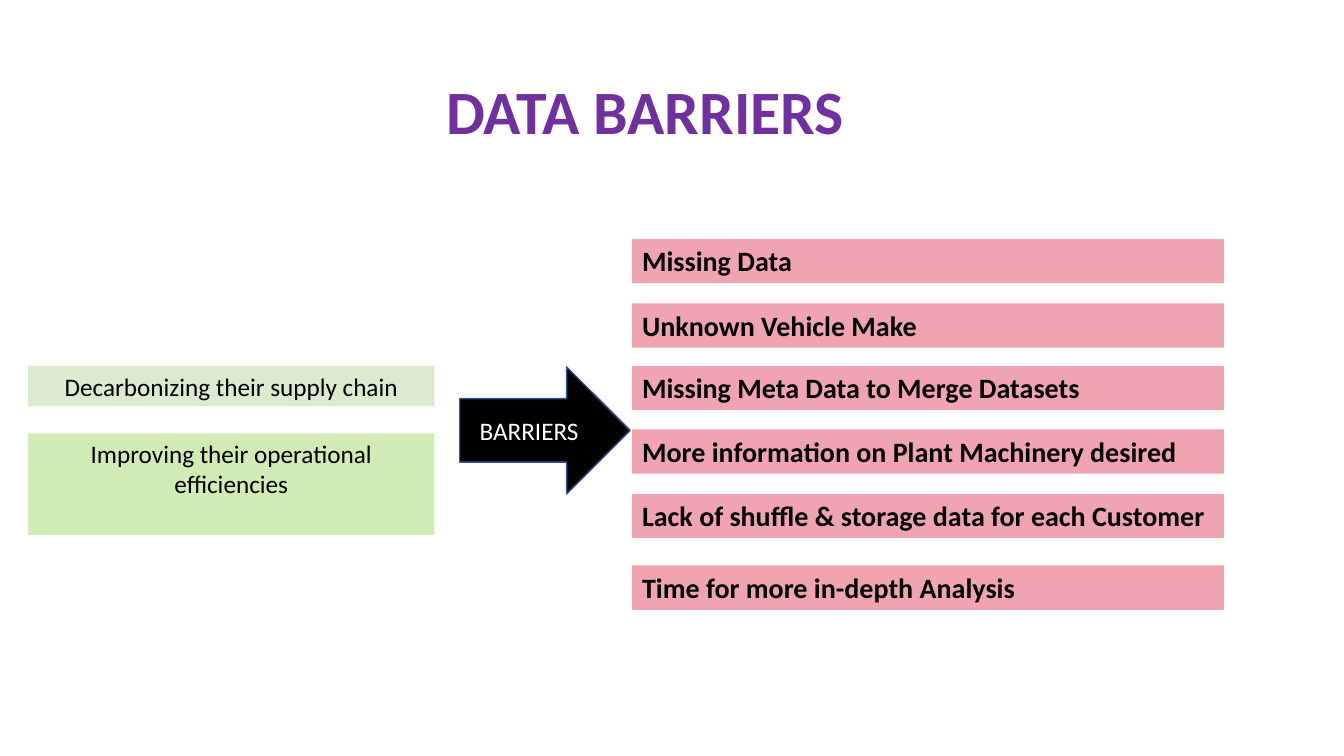
from pptx import Presentation
from pptx.dml.color import RGBColor
from pptx.enum.shapes import MSO_SHAPE
from pptx.enum.text import MSO_ANCHOR, PP_ALIGN
from pptx.oxml.ns import qn
from pptx.util import Inches, Pt
from lxml import etree

RIGHT_ARROW = MSO_SHAPE.RIGHT_ARROW
MIDDLE, TOP = MSO_ANCHOR.MIDDLE, MSO_ANCHOR.TOP
CENTER, LEFT = PP_ALIGN.CENTER, PP_ALIGN.LEFT

BLACK = RGBColor(0x00, 0x00, 0x00)
WHITE = RGBColor(0xFF, 0xFF, 0xFF)
PURPLE = RGBColor(0x70, 0x30, 0xA0)
PINK = RGBColor(0xF0, 0xA4, 0xB1)
SAGE = RGBColor(0xA9, 0xD1, 0x8E)
LIME = RGBColor(0x92, 0xD0, 0x50)
NAVY = RGBColor(0x32, 0x54, 0x91)

BARRIERS = [
    (2.37, "Missing Data"),
    (3.01, "Unknown Vehicle Make"),
    (3.63, "Missing Meta Data to Merge Datasets"),
    (4.26, "More information on Plant Machinery desired"),
    (4.9, "Lack of shuffle & storage data for each Customer"),
    (5.61, "Time for more in-depth Analysis"),
]
GOALS = [
    (3.63, 0.4, "Decarbonizing their supply chain", SAGE),
    (4.3, 1.01, "Improving their operational efficiencies", LIME),
]


class SlideBuilder:
    font_name = "Calibri"

    def __init__(self, slide):
        self.slide = slide

    def set_text(self, shape, text, size, color, bold=False, align=CENTER, anchor=TOP):
        frame = shape.text_frame
        frame.word_wrap = True
        frame.vertical_anchor = anchor
        paragraph = frame.paragraphs[0]
        paragraph.text = text
        paragraph.alignment = align
        font = paragraph.font
        font.name, font.size, font.bold = self.font_name, Pt(size), bold
        font.color.rgb = color
        return paragraph

    def title(self, left, top, width, height, text):
        box = self.slide.shapes.add_textbox(
            Inches(left), Inches(top), Inches(width), Inches(height))
        paragraph = self.set_text(box, text, 44, PURPLE, bold=True, anchor=MIDDLE)
        paragraph.line_spacing = 0.9

    def text_block(self, left, top, width, height, text, fill, size,
                   bold=False, align=CENTER, opacity=100):
        box = self.slide.shapes.add_textbox(
            Inches(left), Inches(top), Inches(width), Inches(height))
        box.fill.solid()
        box.fill.fore_color.rgb = fill
        if opacity < 100:
            color = box.element.spPr.find(qn("a:solidFill"))[0]
            etree.SubElement(color, qn("a:alpha")).set("val", str(opacity * 1000))
        self.set_text(box, text, size, BLACK, bold, align)

    def arrow(self, left, top, width, height, text):
        shape = self.slide.shapes.add_shape(
            RIGHT_ARROW, Inches(left), Inches(top), Inches(width), Inches(height))
        shape.shadow.inherit = False
        shape.fill.solid()
        shape.fill.fore_color.rgb = BLACK
        shape.line.color.rgb = NAVY
        shape.line.width = Pt(1)
        self.set_text(shape, text, 18, WHITE, anchor=MIDDLE)


def main():
    presentation = Presentation()
    presentation.slide_width = Inches(13.33)
    presentation.slide_height = Inches(7.5)
    builder = SlideBuilder(presentation.slides.add_slide(presentation.slide_layouts[6]))

    # Title; its closing space shifts the centred words slightly left
    builder.title(0.52, 0.4, 11.9, 1.48, "DATA BARRIERS ")

    # Arrow from goals to barriers
    builder.arrow(4.56, 3.64, 1.69, 1.26, "BARRIERS")

    # Barriers on the right
    for top, text in BARRIERS:
        builder.text_block(6.27, top, 5.87, 0.44, text, PINK, 20, bold=True, align=LEFT)

    # Goals on the left
    for top, height, text, fill in GOALS:
        builder.text_block(0.28, top, 4.03, height, text, fill, 18, opacity=42)

    presentation.save("out.pptx")


if __name__ == "__main__":
    main()
